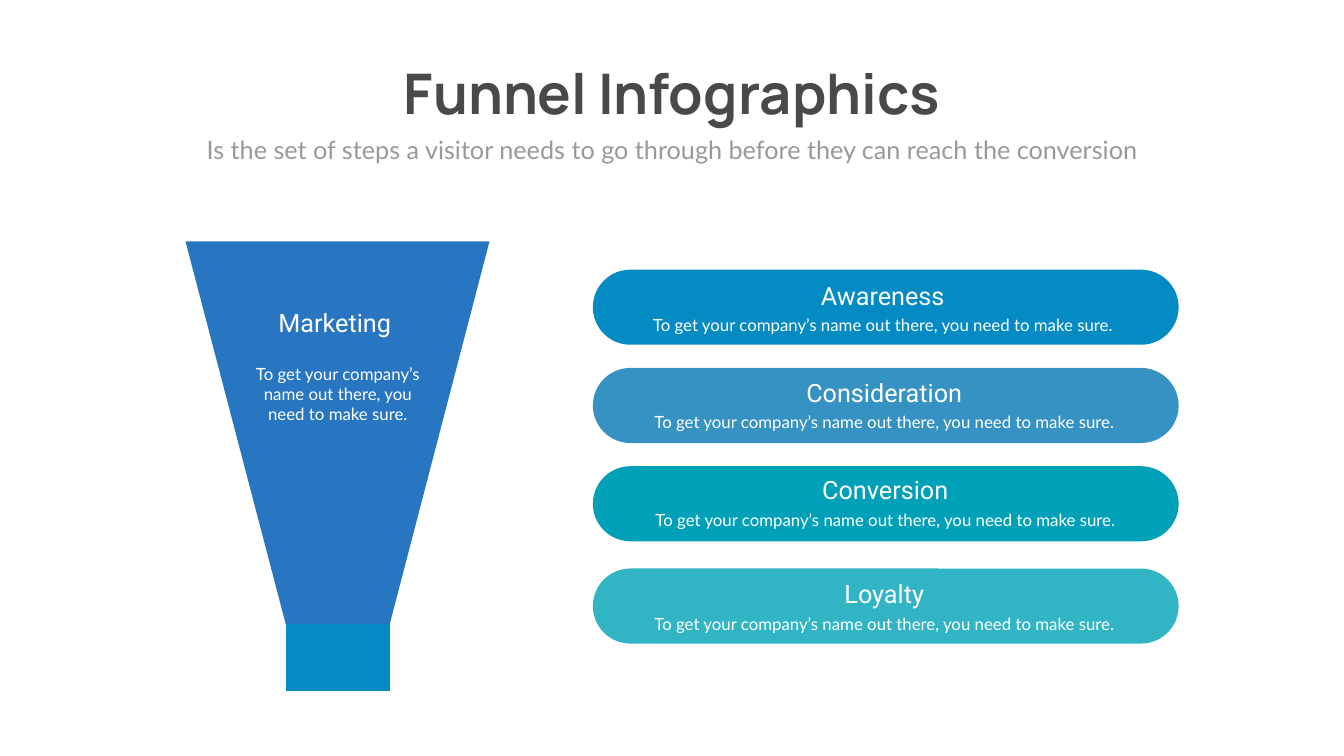
import pptx
import pptx.dml.color
import pptx.enum.shapes
import pptx.enum.text
import pptx.util

# The grid has square cells, one inch each.
COLUMNS, ROWS = 26.66, 15
CELL = pptx.util.Inches(1)

COLORS = {
    "title": "494949",
    "subtitle": "999999",
    "white": "FFFFFF",
    "funnel": "2876C2",
    "spout": "048BC3",
    "awareness": "048BC3",
    "consideration": "3692C2",
    "conversion": "00A1B8",
    "loyalty": "31B4C4",
}

# role: font, size, colour, bold
TEXT_STYLES = {
    "title": ("Manrope", 80, "title", True),
    "subtitle": ("Lato", 36, "subtitle", False),
    "heading": ("Roboto", 36, "white", False),
    "detail": ("Lato", 24, "white", False),
}

DETAIL = "To get your company’s name out there, you need to make sure."

# name, pill top, heading top, text centre
STAGES = [
    ("Awareness", 5.35, 5.51, 17.51),
    ("Consideration", 7.3, 7.43, 17.54),
    ("Conversion", 9.25, 9.37, 17.56),
    ("Loyalty", 11.28, 11.43, 17.54),
]
PILL_LEFT, PILL_WIDTH, PILL_HEIGHT = 11.76, 11.62, 1.49
HEADING_WIDTH, HEADING_HEIGHT = 9.88, 0.71
DETAIL_WIDTH, DETAIL_HEIGHT = 10.26, 0.5
DETAIL_DROP = 0.69

FUNNEL_LEFT, FUNNEL_RIGHT, FUNNEL_TOP = 3.68, 9.71, 4.79
NECK_LEFT, NECK_RIGHT, NECK_TOP, NECK_BOTTOM = 5.67, 7.73, 12.39, 13.72


def cells(count):
    return round(count * CELL)


def rgb(color):
    return pptx.dml.color.RGBColor.from_string(COLORS[color])


class FunnelSlide:
    """Holds the text styles and the slide being drawn."""

    def __init__(self, deck, styles):
        self.styles = styles
        self.slide = deck.slides.add_slide(deck.slide_layouts[6])

    def paint(self, shape, color):
        shape.shadow.inherit = False
        shape.fill.solid()
        shape.fill.fore_color.rgb = rgb(color)
        shape.line.fill.background()

    def text(self, words, role, center, top, width, height, wrap=True):
        """Adds centred text in a box whose middle lies at column center."""
        box = self.slide.shapes.add_textbox(
            cells(center - width / 2), cells(top), cells(width), cells(height))
        frame = box.text_frame
        frame.word_wrap = wrap
        frame.auto_size = pptx.enum.text.MSO_AUTO_SIZE.SHAPE_TO_FIT_TEXT
        paragraph = frame.paragraphs[0]
        paragraph.alignment = pptx.enum.text.PP_ALIGN.CENTER
        run = paragraph.add_run()
        run.text = words
        name, size, color, bold = self.styles[role]
        run.font.name = name
        run.font.size = pptx.util.Pt(size)
        run.font.bold = bold
        run.font.color.rgb = rgb(color)

    def pill(self, left, top, width, height, color):
        pill = self.slide.shapes.add_shape(
            pptx.enum.shapes.MSO_SHAPE.ROUNDED_RECTANGLE,
            cells(left), cells(top), cells(width), cells(height))
        pill.adjustments[0] = 0.5
        self.paint(pill, color)

    def polygon(self, corners, color):
        start, *others = [(cells(x), cells(y)) for x, y in corners]
        outline = self.slide.shapes.build_freeform(*start, scale=1.0)
        outline.add_line_segments(others, close=True)
        self.paint(outline.convert_to_shape(), color)


def main():
    deck = pptx.Presentation()
    deck.slide_width, deck.slide_height = cells(COLUMNS), cells(ROWS)
    page = FunnelSlide(deck, TEXT_STYLES)

    middle = COLUMNS / 2
    page.text("Funnel Infographics", "title", middle, 1.12, 11.71, 1.45, wrap=False)
    page.text("Is the set of steps a visitor needs to go through before they "
              "can reach the conversion", "subtitle", middle, 2.61, 20.82, 0.71)

    for name, pill_top, heading_top, center in STAGES:
        page.pill(PILL_LEFT, pill_top, PILL_WIDTH, PILL_HEIGHT, name.lower())
        page.text(name, "heading", center, heading_top,
                  HEADING_WIDTH, HEADING_HEIGHT)
        page.text(DETAIL, "detail", center, heading_top + DETAIL_DROP,
                  DETAIL_WIDTH, DETAIL_HEIGHT)

    page.polygon([(FUNNEL_LEFT, FUNNEL_TOP), (FUNNEL_RIGHT, FUNNEL_TOP),
                  (NECK_RIGHT, NECK_TOP), (NECK_LEFT, NECK_TOP)], "funnel")
    page.polygon([(NECK_LEFT, NECK_TOP), (NECK_RIGHT, NECK_TOP),
                  (NECK_RIGHT, NECK_BOTTOM), (NECK_LEFT, NECK_BOTTOM)], "spout")
    page.text("Marketing", "heading", 6.64, 6.04, 2.99, HEADING_HEIGHT)
    page.text(DETAIL, "detail", 6.7, 7.16, 3.55, 1.34)

    deck.save("out.pptx")


if __name__ == "__main__":
    main()
